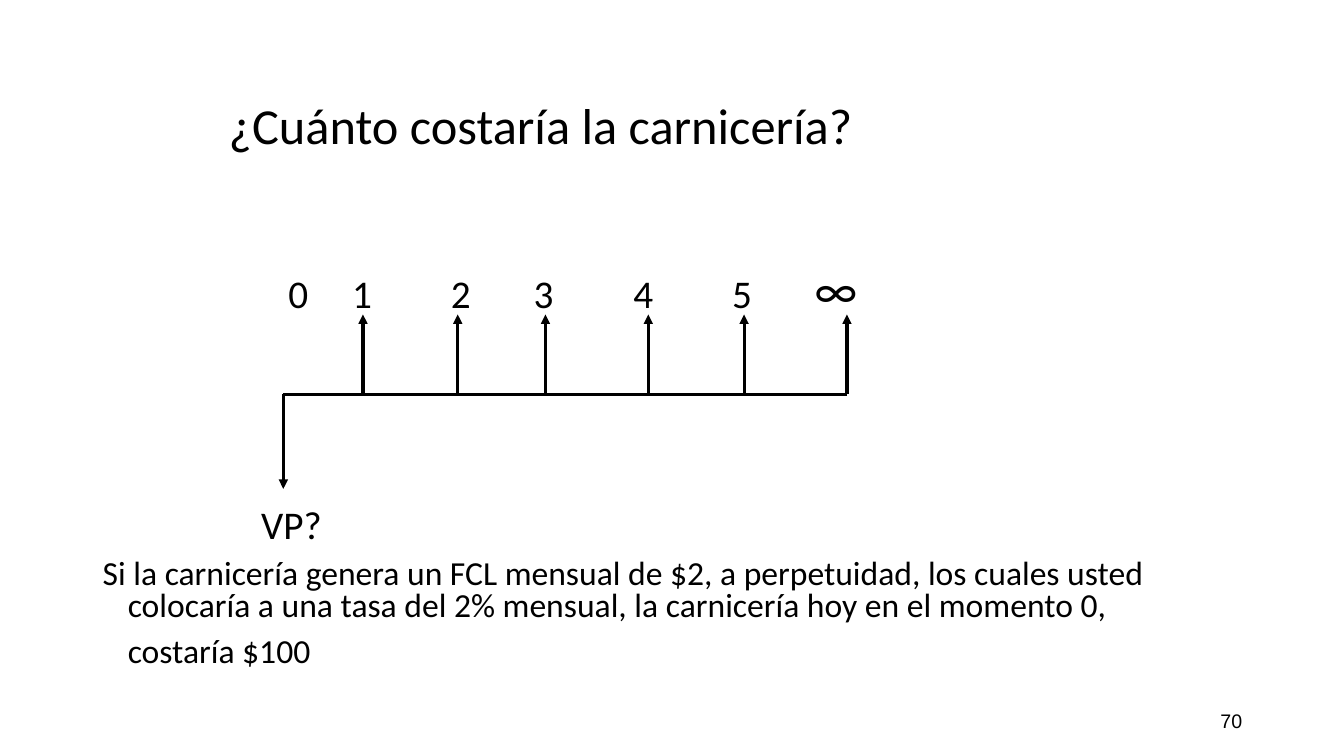
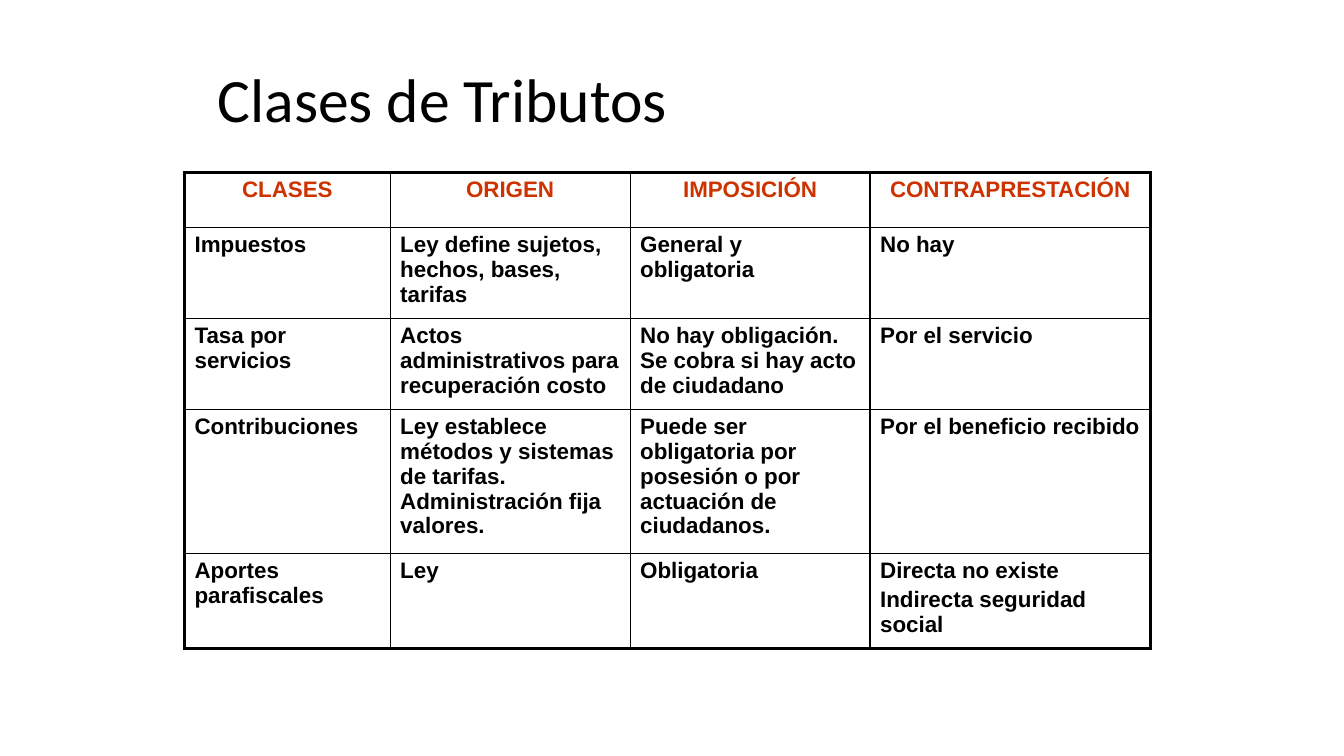
import pptx
import pptx.util
import pptx.dml.color
import pptx.enum.shapes
import pptx.enum.text
import pptx.oxml.ns
from dataclasses import dataclass
from lxml import etree

Inches = pptx.util.Inches
Pt = pptx.util.Pt
ALIGN = pptx.enum.text.PP_ALIGN
ANCHOR = pptx.enum.text.MSO_ANCHOR


@dataclass(frozen=True)
class Theme:
    ink: str = "000000"
    heading: str = "CC3300"
    text_font: str = "Calibri"
    table_font: str = "Arial"
    period: int = 28
    infinity: int = 36
    body: int = 24
    cell: int = 16
    page_number: int = 14
    thick: float = 2.25
    thin: float = 1


THEME = Theme()

VALUATION = {
    "title": "¿Cuánto costaría la carnicería?",
    "present_value": "VP?",
    "explanation": [
        "Si la carnicería genera un FCL mensual de $2, a perpetuidad, los cuales usted "
        "colocaría a una tasa del 2% mensual, la carnicería hoy en el momento 0,",
        "costaría $100",
    ],
    "page": "70",
}
# Period, centre of its label, position of its cash flow on the axis
PERIODS = [
    ("0", 2.96, 2.81), ("1", 3.59, 3.6), ("2", 4.57, 4.54), ("3", 5.39, 5.41),
    ("4", 6.38, 6.43), ("5", 7.36, 7.38), ("∞", 8.29, 8.4),
]
AXIS_Y, INFLOW_Y, OUTFLOW_Y = 3.91, 3.12, 4.85
PERIOD_BASELINE, PRESENT_VALUE_BASELINE = 3.04, 5.33

TAXES_TITLE = "Clases de Tributos"
TAXES = [
    ["CLASES", "ORIGEN", "IMPOSICIÓN", "CONTRAPRESTACIÓN"],
    ["Impuestos", "Ley define sujetos, hechos, bases, tarifas",
     "General y obligatoria", "No hay"],
    ["Tasa por servicios", "Actos administrativos para recuperación costo",
     "No hay obligación. Se cobra si hay acto de ciudadano", "Por el servicio"],
    ["Contribuciones",
     "Ley establece métodos y sistemas de tarifas. Administración fija valores.",
     "Puede ser obligatoria por posesión o por actuación de ciudadanos.",
     "Por el beneficio recibido"],
    ["Aportes parafiscales", "Ley", "Obligatoria",
     "Directa no existe\nIndirecta seguridad social"],
]
COLUMN_WIDTHS = [2.04, 2.38, 2.38, 2.78]
ROW_HEIGHTS = [0.55, 0.9, 0.9, 1.34, 0.9]


def rgb(color):
    return pptx.dml.color.RGBColor.from_string(color)


def style(paragraph, size, font=THEME.text_font, color=THEME.ink, bold=False):
    for run in paragraph.runs:
        run.font.size = Pt(size)
        run.font.name = font
        run.font.color.rgb = rgb(color)
        run.font.bold = bold


def add_text(slide, box, text, size, font=THEME.text_font, align=ALIGN.LEFT,
             anchor=ANCHOR.TOP):
    frame = slide.shapes.add_textbox(*map(Inches, box)).text_frame
    frame.word_wrap = True
    frame.vertical_anchor = anchor
    frame.text = text
    for paragraph in frame.paragraphs:
        paragraph.alignment = align
        style(paragraph, size, font)
    return frame


def add_title(slide, box, text, size):
    frame = add_text(slide, box, text, size, anchor=ANCHOR.MIDDLE)
    frame.paragraphs[0].line_spacing = 0.9


def add_label(slide, center, baseline, text, size):
    """Centre a short text on a point of its baseline."""
    ascent = 0.95 * size / 72
    frame = add_text(slide, (center - 0.5, baseline - ascent, 1, 0.5), text, size,
                     align=ALIGN.CENTER)
    frame.margin_left = frame.margin_right = frame.margin_top = frame.margin_bottom = 0


def add_line(slide, start, end, arrow=False):
    line = slide.shapes.add_connector(
        pptx.enum.shapes.MSO_CONNECTOR.STRAIGHT, *map(Inches, start + end))
    line.line.color.rgb = rgb(THEME.ink)
    line.line.width = Pt(THEME.thick)
    if arrow:
        etree.SubElement(line.line._get_or_add_ln(),
                         pptx.oxml.ns.qn("a:tailEnd"), type="triangle")
    etree.SubElement(line._element.spPr, pptx.oxml.ns.qn("a:effectLst"))


def set_borders(cell, widths):
    properties = cell._tc.get_or_add_tcPr()
    for side, width in widths.items():
        border = etree.SubElement(properties, pptx.oxml.ns.qn(f"a:ln{side}"),
                                  w=str(Pt(width)))
        fill = etree.SubElement(border, pptx.oxml.ns.qn("a:solidFill"))
        etree.SubElement(fill, pptx.oxml.ns.qn("a:srgbClr"), val=THEME.ink)


def build_valuation(slide):
    add_title(slide, (2.17, 0.99, 8.44, 0.56), VALUATION["title"], 36)
    start_x, end_x = PERIODS[0][2], PERIODS[-1][2]
    add_line(slide, (start_x, AXIS_Y), (end_x, AXIS_Y))
    for period, label_x, flow_x in PERIODS:
        size = THEME.infinity if period == "∞" else THEME.period
        add_label(slide, label_x, PERIOD_BASELINE, period, size)
        tip_y = OUTFLOW_Y if period == "0" else INFLOW_Y
        add_line(slide, (flow_x, AXIS_Y), (flow_x, tip_y), arrow=True)
    add_label(slide, 2.89, PRESENT_VALUE_BASELINE, VALUATION["present_value"],
              THEME.period)

    explanation = add_text(slide, (0.92, 5.5, 11.5, 1.26),
                           "\n".join(VALUATION["explanation"]), THEME.body)
    for index, paragraph in enumerate(explanation.paragraphs):
        paragraph.line_spacing = 0.8
        paragraph.space_before = Pt(10 * index)
        indents = paragraph._p.get_or_add_pPr()
        indents.set("marL", str(Inches(0.25)))
        indents.set("indent", str(0 if index else Inches(-0.25)))

    add_text(slide, (9.42, 6.95, 3, 0.4), VALUATION["page"], THEME.page_number,
             THEME.table_font, ALIGN.RIGHT, ANCHOR.MIDDLE)


def build_taxes(slide):
    add_title(slide, (2.06, 0.39, 8.67, 1.25), TAXES_TITLE, 44)
    last_row, last_column = len(TAXES) - 1, len(COLUMN_WIDTHS) - 1
    table = slide.shapes.add_table(
        len(TAXES), len(COLUMN_WIDTHS), Inches(1.83), Inches(1.71),
        Inches(sum(COLUMN_WIDTHS)), Inches(sum(ROW_HEIGHTS))).table
    table.first_row = table.horz_banding = False
    for column, width in zip(table.columns, COLUMN_WIDTHS):
        column.width = Inches(width)
    for row, height in zip(table.rows, ROW_HEIGHTS):
        row.height = Inches(height)

    for r, texts in enumerate(TAXES):
        for c, text in enumerate(texts):
            cell = table.cell(r, c)
            outer = {"L": c == 0, "R": c == last_column, "T": r == 0, "B": r == last_row}
            set_borders(cell, {side: THEME.thick if edge else THEME.thin
                               for side, edge in outer.items()})
            cell.fill.background()
            cell.text_frame.text = text
            for paragraph in cell.text_frame.paragraphs:
                paragraph.space_before = Pt(3)
                paragraph.alignment = ALIGN.LEFT if r else ALIGN.CENTER
                style(paragraph, THEME.cell, THEME.table_font,
                      THEME.ink if r else THEME.heading, bold=True)


def main():
    deck = pptx.Presentation()
    deck.slide_width, deck.slide_height = Inches(13.33), Inches(7.5)
    for build in (build_valuation, build_taxes):
        build(deck.slides.add_slide(deck.slide_layouts[6]))
    deck.save("out.pptx")


if __name__ == "__main__":
    main()
